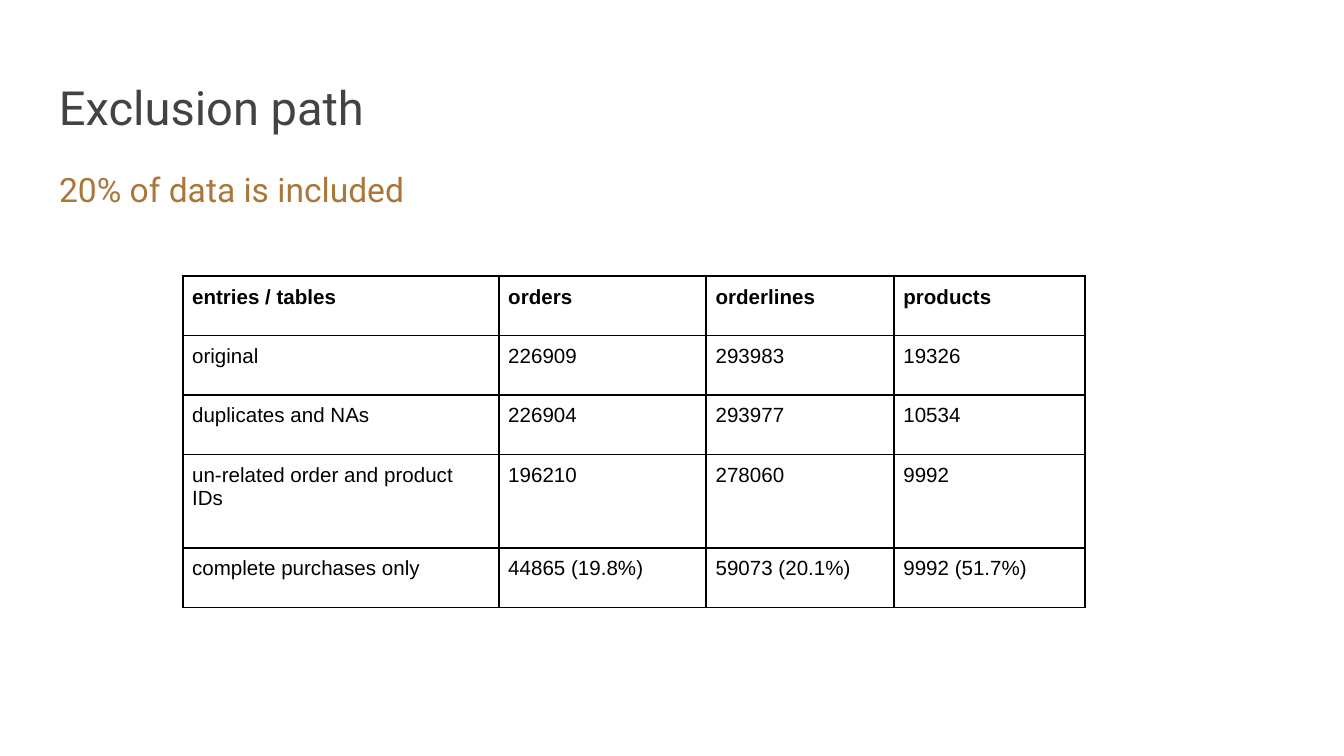
from pptx import Presentation
from pptx.dml.color import RGBColor
from pptx.oxml import parse_xml
from pptx.oxml.ns import nsdecls
from pptx.util import Inches, Pt

BLACK = RGBColor(0x00, 0x00, 0x00)
GRAY = RGBColor(0x43, 0x43, 0x43)
OCHRE = RGBColor(0xAA, 0x77, 0x39)

ROWS = [
    ("entries / tables", "orders", "orderlines", "products"),
    ("original", "226909", "293983", "19326"),
    ("duplicates and NAs", "226904", "293977", "10534"),
    ("un-related order and product IDs", "196210", "278060", "9992"),
    ("complete purchases only", "44865 (19.8%)", "59073 (20.1%)", "9992 (51.7%)"),
]


class Deck:
    """Builds one 16:9 slide on a square grid of 100 columns."""

    def __init__(self):
        self.prs = Presentation()
        self.prs.slide_width, self.prs.slide_height = Pt(720), Pt(405)
        self.unit = self.prs.slide_width / 100
        self.s = self.prs.slides.add_slide(self.prs.slide_layouts[6])

    def grid(self, *lengths):
        return [round(n * self.unit) for n in lengths]

    def run(self, p, text, font, size, color, bold=False):
        r = p.add_run()
        r.text = text
        r.font.name, r.font.size, r.font.bold = font, Pt(size), bold
        r.font.color.rgb = color

    def text(self, box, text, size, color, line_spacing=1.0, space_after=0):
        sp = self.s.shapes.add_textbox(*self.grid(*box))
        tf = sp.text_frame
        tf.word_wrap = True
        tf.margin_left = tf.margin_right = tf.margin_top = tf.margin_bottom = Inches(0.1)
        p = tf.paragraphs[0]
        p.line_spacing, p.space_after = line_spacing, Pt(space_after)
        self.run(p, text, "Roboto", size, color)

    def border(self, cell):
        tcPr = cell._tc.get_or_add_tcPr()
        for side in "LRTB":
            tcPr.append(parse_xml(
                f'<a:ln{side} {nsdecls("a")} w="{Pt(1)}"><a:solidFill>'
                f'<a:srgbClr val="{BLACK}"/></a:solidFill></a:ln{side}>'))

    def table(self, left, top, widths, heights, rows):
        box = self.grid(left, top, sum(widths), sum(heights))
        table = self.s.shapes.add_table(len(rows), len(widths), *box).table
        table.first_row = table.horz_banding = False
        for column, width in zip(table.columns, self.grid(*widths)):
            column.width = width
        for row, height in zip(table.rows, self.grid(*heights)):
            row.height = height
        for i, values in enumerate(rows):
            for j, value in enumerate(values):
                cell = table.cell(i, j)
                cell.margin_left = cell.margin_right = Inches(0.07)
                cell.margin_top = cell.margin_bottom = Inches(0.07)
                self.border(cell)
                cell.fill.background()
                p = cell.text_frame.paragraphs[0]
                self.run(p, value, "Arial", 11, BLACK, bold=i == 0)


def main():
    deck = Deck()
    deck.text((3.41, 4.87, 93.18, 6.26), "Exclusion path", 25.2, GRAY)
    deck.text((3.41, 11.1, 31.9, 7.4), "20% of data is included", 18, OCHRE,
              line_spacing=1.15, space_after=12)
    deck.table(13.6, 20.55, (23.52, 15.43, 13.97, 14.2),
               (4.42, 4.42, 4.42, 6.97, 4.42), ROWS)
    deck.prs.save("out.pptx")


if __name__ == "__main__":
    main()
